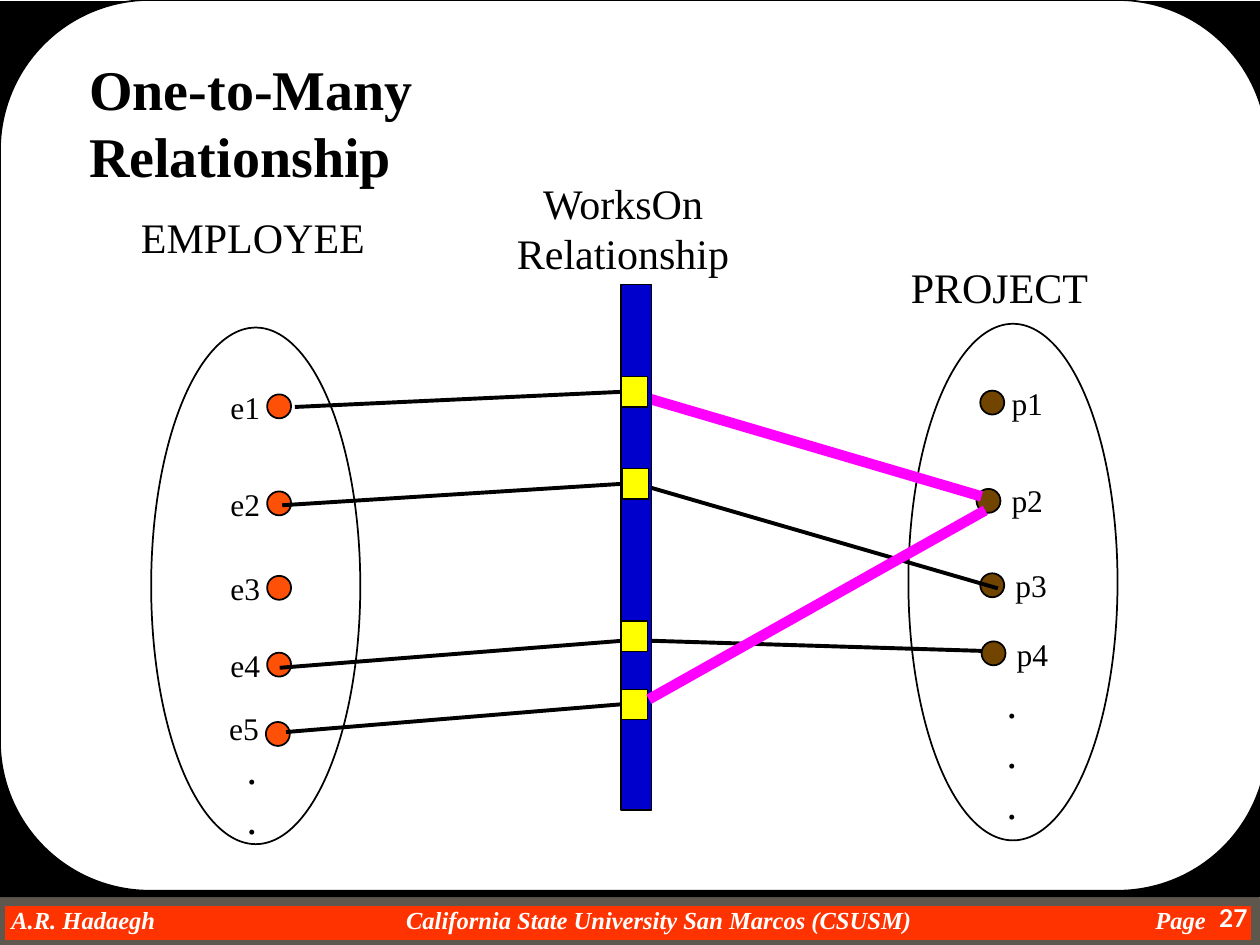
from dataclasses import dataclass

from lxml import etree
from pptx import Presentation
from pptx.dml.color import RGBColor
from pptx.enum import shapes, text
from pptx.oxml.ns import qn
from pptx.util import Inches, Pt

SHAPE = shapes.MSO_SHAPE
ALIGN = text.PP_ALIGN


@dataclass(frozen=True)
class Theme:
    serif: str = "Times New Roman"
    sans: str = "Lato"
    black: str = "000000"
    white: str = "FFFFFF"
    footer: str = "FF3300"
    footer_edge: str = "5E574E"
    employee: str = "FF5008"
    project: str = "714400"
    bar: str = "0000CC"
    relation: str = "FFFF00"
    highlight: str = "FF00FF"
    title_size: int = 32
    heading_size: int = 24
    label_size: int = 18
    footer_size: int = 14


THEME = Theme()
DOT = 0.19
LABEL_WIDTH, LABEL_HEIGHT = 0.46, 0.4
SQUARE_WIDTH, SQUARE_HEIGHT = 0.21, 0.24

# name, dot left, dot top, label left, label top
EMPLOYEES = [
    ("e1", 2.12, 3.13, 1.73, 3.03),
    ("e2", 2.12, 3.9, 1.73, 3.8),
    ("e3", 2.12, 4.57, 1.73, 4.47),
    ("e4", 2.12, 5.18, 1.73, 5.08),
    ("e5", 2.11, 5.73, 1.72, 5.58),
]
PROJECTS = [
    ("p1", 7.78, 3.1, 7.93, 3),
    ("p2", 7.75, 3.88, 7.93, 3.77),
    ("p3", 7.78, 4.55, 7.96, 4.44),
    ("p4", 7.79, 5.09, 7.97, 4.99),
]
# square left and top, start of the line joined to its left side
RELATIONS = [
    (4.93, 2.99, (2.34, 3.23)),
    (4.94, 3.72, (2.24, 4.01)),
    (4.93, 4.93, None),
    (4.93, 5.47, (2.27, 5.81)),
]


def add_block(slide, kind, box, fill, line=None, width=1.0):
    shape = slide.shapes.add_shape(kind, *map(Inches, box))
    shape.shadow.inherit = False
    shape.fill.solid()
    shape.fill.fore_color.rgb = RGBColor.from_string(fill)
    if line:
        shape.line.color.rgb = RGBColor.from_string(line)
        shape.line.width = Pt(width)
    else:
        shape.line.fill.background()
    return shape


def add_text(slide, box, lines, size, color=THEME.black, font=THEME.serif,
             bold=False, italic=False, align=ALIGN.LEFT, wrap=False):
    frame = slide.shapes.add_textbox(*map(Inches, box)).text_frame
    frame.word_wrap = wrap
    for index, line in enumerate(lines):
        paragraph = frame.paragraphs[0] if index == 0 else frame.add_paragraph()
        paragraph.alignment = align
        run = paragraph.add_run()
        run.text = line
        run.font.name = font
        run.font.size = Pt(size)
        run.font.bold = bold
        run.font.italic = italic
        run.font.color.rgb = RGBColor.from_string(color)
    return frame


def add_line(slide, start, end, color=THEME.black, width=2.25):
    connector = slide.shapes.add_connector(
        shapes.MSO_CONNECTOR.STRAIGHT, *map(Inches, (*start, *end)))
    connector.line.color.rgb = RGBColor.from_string(color)
    connector.line.width = Pt(width)
    etree.SubElement(connector._element.spPr, qn("a:effectLst"))
    return connector


def add_members(slide, members, color):
    for name, dot_left, dot_top, label_left, label_top in members:
        add_block(slide, SHAPE.OVAL, (dot_left, dot_top, DOT, DOT), color, THEME.black)
        add_text(slide, (label_left, label_top, LABEL_WIDTH, LABEL_HEIGHT),
                 [name], THEME.label_size)


def add_frame(slide):
    # Footer band, black backdrop and rounded white panel
    add_block(slide, SHAPE.RECTANGLE, (0, 7.15, 9.97, 0.35),
              THEME.footer, THEME.footer_edge, 6)
    footer = add_text(
        slide, (0, 7.18, 9.68, 0.23),
        ["A.R. Hadaegh\tCalifornia State University San Marcos (CSUSM)\tPage"],
        THEME.footer_size, THEME.white, bold=True, italic=True, wrap=True)
    footer.margin_left = Inches(0.09)
    footer.margin_right = footer.margin_top = footer.margin_bottom = 0
    tabs = etree.SubElement(footer.paragraphs[0]._p.get_or_add_pPr(), qn("a:tabLst"))
    for position, kind in ((5.14, "ctr"), (9.48, "r")):
        etree.SubElement(tabs, qn("a:tab"), pos=str(Inches(position)), algn=kind)

    add_block(slide, SHAPE.RECTANGLE, (0, 0.01, 10, 7.11), THEME.black)
    panel = add_block(slide, SHAPE.ROUNDED_RECTANGLE, (0, 0, 10.06, 7.07),
                      THEME.white, THEME.black)
    panel.adjustments[0] = 1.19 / 7.07
    add_text(slide, (9.25, 7.12, 0.75, 0.38), ["27"], THEME.footer_size, THEME.white,
             THEME.sans, bold=True, align=ALIGN.RIGHT, wrap=True)


def add_headings(slide):
    title = add_text(slide, (0.61, 0.38, 5.27, 0.63), ["One-to-Many Relationship"],
                     THEME.title_size, bold=True, wrap=True)
    title.margin_right = Inches(2)
    add_text(slide, (3.6, 1.36, 2.69, 0.9), ["WorksOn", "Relationship"],
             THEME.heading_size, align=ALIGN.CENTER, wrap=True)
    add_text(slide, (1.02, 1.63, 1.98, 0.5), ["EMPLOYEE"], THEME.heading_size)
    add_text(slide, (7.13, 2.03, 1.61, 0.5), ["PROJECT"], THEME.heading_size)


def add_sets(slide):
    # Employee and project sets with their members and trailing dots
    add_block(slide, SHAPE.OVAL, (1.2, 2.6, 1.66, 4.1), THEME.white, THEME.black)
    add_members(slide, EMPLOYEES, THEME.employee)
    add_text(slide, (1.86, 5.84, 0.28, 0.9), ["."] * 2, THEME.heading_size)

    add_block(slide, SHAPE.OVAL, (7.21, 2.57, 1.66, 4.1), THEME.white, THEME.black)
    add_members(slide, PROJECTS[:3], THEME.project)
    add_text(slide, (7.89, 5.32, 0.28, 1.3), ["."] * 3, THEME.heading_size)


def add_relationship(slide):
    # Lines that end behind the bar
    add_line(slide, (5, 3.12), (7.79, 3.94), THEME.highlight, 6)
    add_line(slide, (7.92, 4.67), (4.99, 3.82))
    add_line(slide, (2.22, 5.3), (5.01, 5.08))
    add_line(slide, (7.92, 5.17), (4.99, 5.08))
    add_members(slide, PROJECTS[3:], THEME.project)

    # Bar with one square per relationship
    add_block(slide, SHAPE.RECTANGLE, (4.93, 2.26, 0.24, 4.17),
              THEME.bar, THEME.black, 0.75)
    for left, top, start in RELATIONS:
        square = add_block(slide, SHAPE.RECTANGLE,
                           (left, top, SQUARE_WIDTH, SQUARE_HEIGHT),
                           THEME.relation, THEME.black, 0.75)
        if start:
            link = add_line(slide, start, (left, top + SQUARE_HEIGHT / 2))
            link.end_connect(square, 1)
    add_line(slide, (5.15, 5.55), (7.82, 4.05), THEME.highlight, 6)


def main():
    presentation = Presentation()
    presentation.slide_width = Inches(10)
    presentation.slide_height = Inches(7.5)
    slide = presentation.slides.add_slide(presentation.slide_layouts[6])
    add_frame(slide)
    add_headings(slide)
    add_sets(slide)
    add_relationship(slide)
    presentation.save("out.pptx")


if __name__ == "__main__":
    main()
